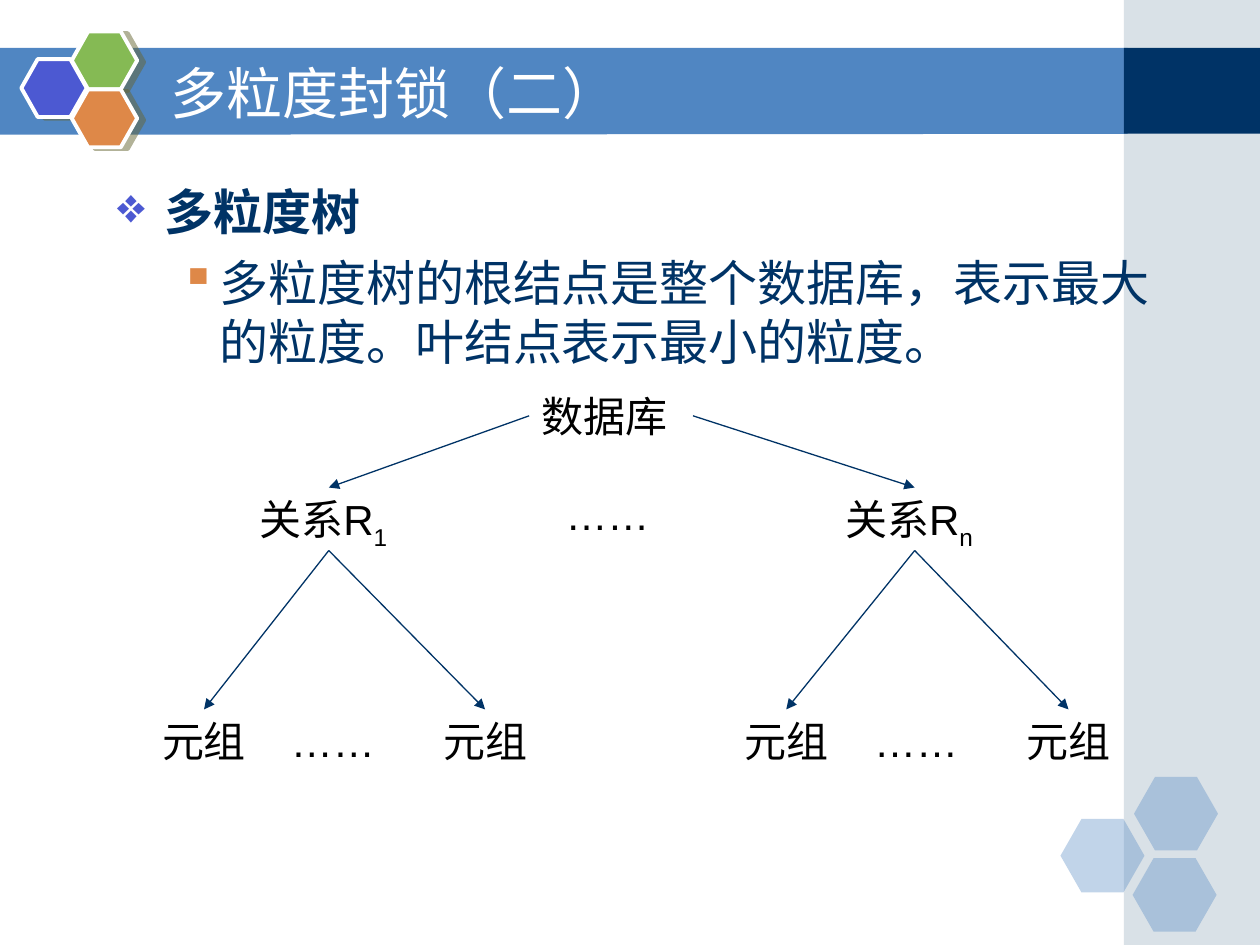
"""Build a slide that shows a multi-granularity locking tree."""
from lxml.etree import SubElement
from pptx import Presentation
from pptx.dml.color import RGBColor
from pptx.enum.shapes import MSO_CONNECTOR, MSO_SHAPE
from pptx.enum.text import MSO_ANCHOR, PP_ALIGN
from pptx.oxml.ns import qn
from pptx.util import Pt

COLORS = {"band": "5086C2", "side": "A0B5C4", "navy": "003366", "white": "FFFFFF",
          "blue": "4C59D2", "green": "85BA54", "orange": "DE8848",
          "shadow": "666633", "black": "000000"}


def add_filled(kind, box, color, alpha=None):
    shape = s.shapes.add_shape(kind, *map(Pt, box))
    shape.shadow.inherit = False
    shape.fill.solid()
    shape.fill.fore_color.rgb = RGBColor.from_string(COLORS[color])
    shape.line.fill.background()
    if alpha:
        clr = shape.element.spPr.find(".//" + qn("a:srgbClr"))
        SubElement(clr, qn("a:alpha"), val=str(alpha * 1000))
    return shape


def add_run(p, text, color, **formats):
    r = p.add_run()
    r.text = text
    r.font.color.rgb = RGBColor.from_string(COLORS[color])
    for name, value in formats.items():
        setattr(r.font, name, value)
    return r


prs = Presentation()
prs.slide_width, prs.slide_height = Pt(720), Pt(540)
s = prs.slides.add_slide(prs.slide_layouts[5])

builder = s.shapes.build_freeform(Pt(-0.7), Pt(27.4))
builder.add_line_segments([(Pt(644.4), Pt(27.4)), (Pt(644.4), Pt(76.5)),
                           (Pt(-0.7), Pt(77))], close=True)
band = builder.convert_to_shape()
band.shadow.inherit = False
band.fill.solid()
band.fill.fore_color.rgb = RGBColor.from_string(COLORS["band"])
band.line.fill.background()

add_filled(MSO_SHAPE.RECTANGLE, (642.2, 0, 77.8, 540), "side", 40)
add_filled(MSO_SHAPE.RECTANGLE, (642.2, 27.4, 77.8, 49), "navy")

for x, y in [(606, 468), (648, 444), (647.2, 490.4)]:
    hexagon = add_filled(MSO_SHAPE.HEXAGON, (x, y, 48, 42), "band", 35)
    hexagon.adjustments[0] = 0.286

for x, y, color in [(12.2, 33.8, "blue"), (41, 18, "green"), (41, 51.1, "orange")]:
    hexagon = add_filled(MSO_SHAPE.HEXAGON, (x, y, 37.4, 33.1), color)
    hexagon.adjustments[0] = 0.283
    hexagon.line.color.rgb = RGBColor.from_string(COLORS["white"])
    hexagon.line.width = Pt(2.25)
    effects = hexagon.element.spPr.find(qn("a:effectLst"))
    shadow = SubElement(effects, qn("a:outerShdw"), dist=str(Pt(4.1)),
                        dir=str(14 * 60000), algn="ctr", rotWithShape="0")
    clr = SubElement(shadow, qn("a:srgbClr"), val=COLORS["shadow"])
    SubElement(clr, qn("a:alpha"), val="50000")

title = s.shapes.title
title.element.getparent().append(title.element)
title.left, title.top, title.width, title.height = map(Pt, (90, 30.2, 527.8, 44.6))
tf = title.text_frame
tf.vertical_anchor = MSO_ANCHOR.MIDDLE
p = tf.paragraphs[0]
p.alignment = PP_ALIGN.LEFT
add_run(p, "多粒度封锁（二）", "white", size=Pt(32), name="DejaVu Sans")

body = s.shapes.add_textbox(*map(Pt, (59.8, 100.1, 613.4, 131)))
tf = body.text_frame
tf.word_wrap = True
points = [
    ("多粒度树", 0, 27, -27, "❖", "blue", {"name": "DejaVu Sans", "bold": True}),
    ("多粒度树的根结点是整个数据库，表示最大的粒度。叶结点表示最小的粒度。",
     1, 58.5, -22.5, "▪", "orange", {"name": "Arial", "bold": False}),
]
for i, (text, level, margin, indent, bullet, color, formats) in enumerate(points):
    p = tf.add_paragraph() if i else tf.paragraphs[0]
    p.level = level
    p.space_before = Pt(7)
    pPr = p._p.get_or_add_pPr()
    pPr.set("marL", str(Pt(margin)))
    pPr.set("indent", str(Pt(indent)))
    SubElement(SubElement(pPr, qn("a:buClr")), qn("a:srgbClr"), val=COLORS[color])
    SubElement(pPr, qn("a:buChar"), char=bullet)
    add_run(p, text, "navy", size=Pt(28), **formats)

labels = [
    ("root", "数据库", "", 302.4, 219.6, PP_ALIGN.LEFT),
    ("rn", "关系R", "n", 475.9, 278.6, PP_ALIGN.LEFT),
    ("r1", "关系R", "1", 141.1, 278.6, PP_ALIGN.LEFT),
    ("dots", "……", "", 316.1, 275.8, PP_ALIGN.LEFT),
    ("r1 last", "元组", "", 230.4, 405.4, PP_ALIGN.CENTER),
    ("r1 first", "元组", "", 69.8, 405.4, PP_ALIGN.CENTER),
    ("r1 dots", "……", "", 159.1, 405.4, PP_ALIGN.LEFT),
    ("rn last", "元组", "", 563.8, 405.4, PP_ALIGN.CENTER),
    ("rn first", "元组", "", 402.5, 405.4, PP_ALIGN.CENTER),
    ("rn dots", "……", "", 492.5, 405.4, PP_ALIGN.LEFT),
]
nodes = {}
for key, text, subscript, x, y, alignment in labels:
    sp = s.shapes.add_textbox(Pt(x), Pt(y), Pt(93.6), Pt(36))
    sp.text_frame.word_wrap = True
    p = sp.text_frame.paragraphs[0]
    p.alignment = alignment
    add_run(p, text, "black", size=Pt(24), name="Arial")
    if subscript:
        r = add_run(p, subscript, "black", size=Pt(24), name="Arial")
        r.font._element.set("baseline", "-25000")
    nodes[key] = sp

edges = [("root", 1, "r1"), ("root", 3, "rn"), ("r1", 2, "r1 first"),
         ("r1", 2, "r1 last"), ("rn", 2, "rn first"), ("rn", 2, "rn last")]
for parent, side, child in edges:
    edge = s.shapes.add_connector(MSO_CONNECTOR.STRAIGHT, 0, 0, 0, 0)
    edge.begin_connect(nodes[parent], side)
    edge.end_connect(nodes[child], 0)
    edge.line.color.rgb = RGBColor.from_string(COLORS["navy"])
    edge.line.width = Pt(0.75)
    SubElement(edge.line._get_or_add_ln(), qn("a:tailEnd"), type="triangle")
    SubElement(edge.element.spPr, qn("a:effectLst"))

prs.save("out.pptx")
